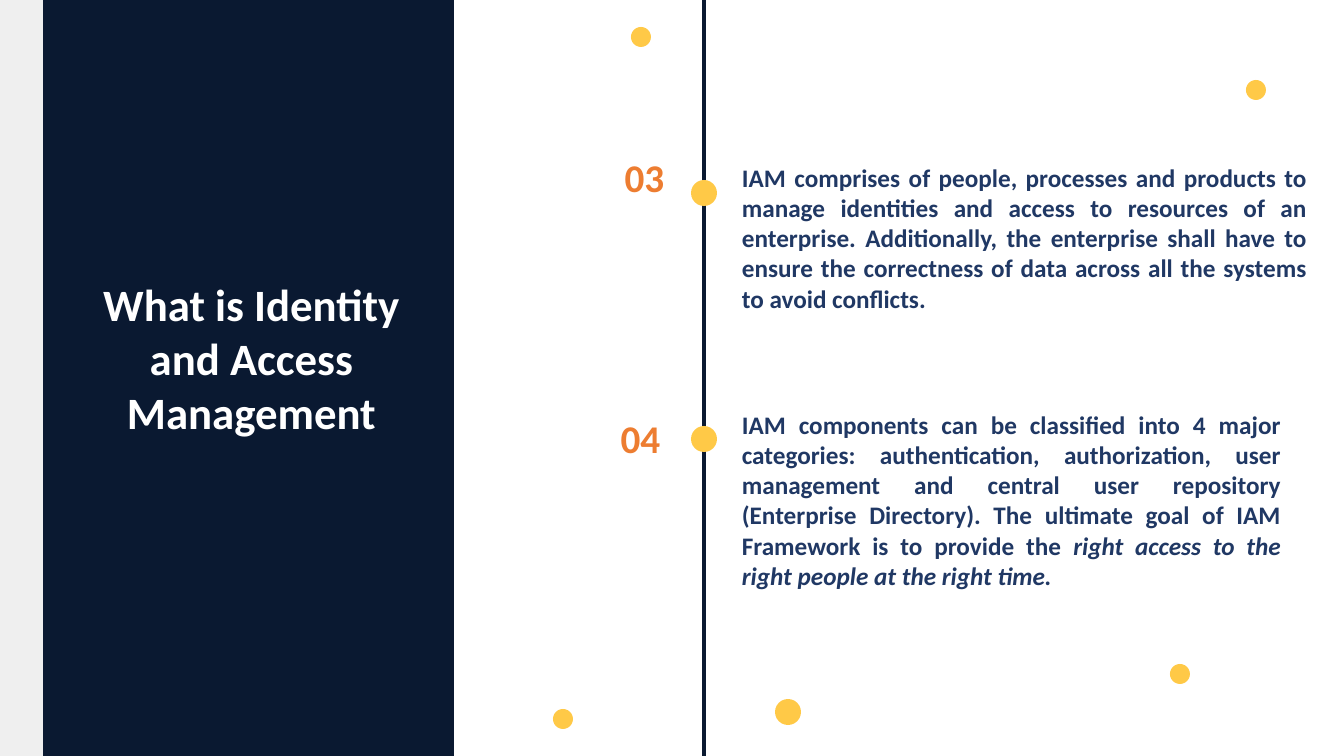
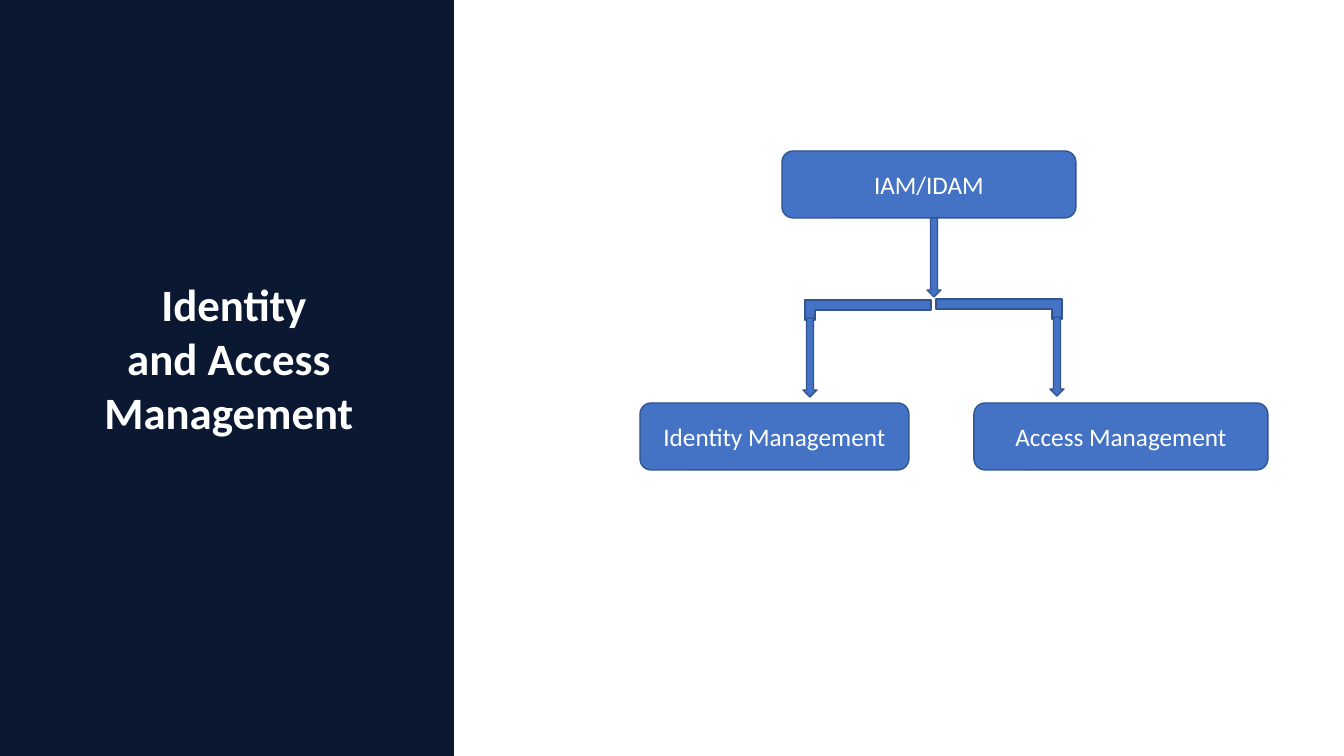
"""Build two slides on identity and access management."""
from dataclasses import dataclass

from lxml import etree
from pptx import Presentation, util as u
from pptx.dml.color import RGBColor
from pptx.enum import shapes, text
from pptx.oxml.ns import qn

SLIDE_WIDTH, SLIDE_HEIGHT = 1344, 756
EMU_PER_PX = 12192000 / SLIDE_WIDTH
TITLE_ONLY = 5
SHAPE = shapes.MSO_SHAPE
ALIGN = text.PP_ALIGN


@dataclass(frozen=True)
class Theme:
    """Colours, font and type sizes shared by the slides."""
    navy: str = "0A1931"
    yellow: str = "FFC947"
    grey: str = "EFEFEF"
    orange: str = "ED7D31"
    ink: str = "203864"
    blue: str = "4472C4"
    outline: str = "325491"
    white: str = "FFFFFF"
    font: str = "Calibri"
    title_size: int = 32
    number_size: int = 28
    body_size: int = 18


THEME = Theme()
TITLE = {"size": u.Pt(THEME.title_size), "bold": True}
NUMBER = {"size": u.Pt(THEME.number_size), "bold": True}
BODY = {"size": u.Pt(THEME.body_size), "bold": True}
LABEL = {"size": u.Pt(THEME.body_size), "bold": False}


def px(length):
    """Turn whole pixels into EMU."""
    return u.Emu(round(length * EMU_PER_PX))


def box(*lengths):
    """Turn a left, top, width and height into EMU."""
    return [px(length) for length in lengths]


def set_font(font, color, formats):
    """Apply the shared font, a colour and a dict of format values."""
    for name, value in {"name": THEME.font, **formats}.items():
        setattr(font, name, value)
    font.color.rgb = RGBColor.from_string(color)


def add_shape(slide, kind, bounds, fill, outline=None):
    """Add a flat preset shape with an optional thin outline."""
    shape = slide.shapes.add_shape(kind, *box(*bounds))
    shape.shadow.inherit = False
    shape.fill.solid()
    shape.fill.fore_color.rgb = RGBColor.from_string(fill)
    if outline:
        shape.line.color.rgb = RGBColor.from_string(outline)
        shape.line.width = u.Pt(1)
    else:
        shape.line.fill.background()
    return shape


def add_dot(slide, center_x, center_y, diameter):
    """Add a yellow dot around a centre point."""
    left, top = center_x - diameter // 2, center_y - diameter // 2
    add_shape(slide, SHAPE.OVAL, (left, top, diameter, diameter), THEME.yellow)


def add_text(slide, bounds, runs, alignment, color, formats):
    """Add a wrapping text box of one paragraph from (wording, italic) runs."""
    frame = slide.shapes.add_textbox(*box(*bounds)).text_frame
    frame.word_wrap = True
    frame.auto_size = text.MSO_AUTO_SIZE.SHAPE_TO_FIT_TEXT
    paragraph = frame.paragraphs[0]
    paragraph.alignment = alignment
    for wording, italic in runs:
        run = paragraph.add_run()
        run.text = wording
        set_font(run.font, color, {**formats, "italic": italic})


def add_timeline(slide, x):
    """Add the vertical line that carries the numbered points."""
    line = slide.shapes.add_connector(
        shapes.MSO_CONNECTOR.STRAIGHT, *box(x, 0, x, SLIDE_HEIGHT))
    line.line.color.rgb = RGBColor.from_string(THEME.navy)
    line.line.width = u.Pt(3)
    etree.SubElement(line.element.spPr, qn("a:effectLst"))


def add_node(slide, bounds, label):
    """Add a rounded, labelled box of the diagram."""
    shape = add_shape(slide, SHAPE.ROUNDED_RECTANGLE, bounds,
                      THEME.blue, THEME.outline)
    frame = shape.text_frame
    frame.text = label
    frame.word_wrap = True
    frame.vertical_anchor = text.MSO_ANCHOR.MIDDLE
    frame.paragraphs[0].alignment = ALIGN.CENTER
    set_font(frame.paragraphs[0].font, THEME.white, LABEL)


def add_arrow(slide, left, top):
    """Add a narrow block arrow that points down."""
    add_shape(slide, SHAPE.DOWN_ARROW, (left, top, 14, 79),
              THEME.blue, THEME.outline)


def add_elbow(slide, left, top, flips):
    """Add a corner piece, flipped along the named axes."""
    elbow = add_shape(slide, SHAPE.CORNER, (left, top, 126, 20),
                      THEME.blue, THEME.outline)
    for flip in flips:
        elbow.element.spPr.xfrm.set(flip, "1")


def add_titled_slide(presentation, lines, title_width):
    """Add a slide with the navy band and its title in front."""
    slide = presentation.slides.add_slide(
        presentation.slide_layouts[TITLE_ONLY])
    add_shape(slide, SHAPE.RECTANGLE, (0, 0, 454, SLIDE_HEIGHT), THEME.navy)
    title = slide.shapes.title
    slide.shapes.element.append(title.element)
    title.left, title.top, title.width, title.height = box(
        92, 271, title_width, 173)
    frame = title.text_frame
    frame.text = "\n".join(lines)
    frame.word_wrap = False
    frame.auto_size = text.MSO_AUTO_SIZE.NONE
    frame.vertical_anchor = text.MSO_ANCHOR.MIDDLE
    for paragraph in frame.paragraphs:
        paragraph.alignment = ALIGN.CENTER
        set_font(paragraph.font, THEME.white, TITLE)
    return slide


def build_definition(presentation):
    """Build the slide with two numbered points on a timeline."""
    slide = add_titled_slide(
        presentation, ["What is Identity", "and Access", "Management"], 319)
    timeline_x = 704
    add_timeline(slide, timeline_x)
    add_shape(slide, SHAPE.RECTANGLE, (0, 0, 43, SLIDE_HEIGHT), THEME.grey)
    for x, y in [(788, 712), (timeline_x, 439), (timeline_x, 193)]:
        add_dot(slide, x, y, 26)
    for x, y in [(563, 719), (1180, 674), (1256, 90), (641, 37)]:
        add_dot(slide, x, y, 20)
    points = [
        ("03", (609, 148, 71, 57), (732, 157, 585, 163), [
            ("IAM comprises of people, processes and products to manage "
             "identities and access to resources of an enterprise. "
             "Additionally, the enterprise shall have to ensure the "
             "correctness of data across all the systems to avoid "
             "conflicts.", False)]),
        ("04", (605, 409, 71, 57), (732, 404, 559, 194), [
            ("IAM components can be classified into 4 major categories: "
             "authentication, authorization, user management and central "
             "user repository (Enterprise Directory). The ultimate goal of "
             "IAM Framework is to provide the ", False),
            ("right access to the right people at the right time.", True)]),
    ]
    for number, number_bounds, body_bounds, runs in points:
        add_text(slide, number_bounds, [(number, False)], ALIGN.CENTER,
                 THEME.orange, NUMBER)
        add_text(slide, body_bounds, runs, ALIGN.JUSTIFY, THEME.ink, BODY)


def build_diagram(presentation):
    """Build the slide that splits IAM into its two branches."""
    slide = add_titled_slide(
        presentation, [" Identity", "and Access", "Management"], 274)
    for left, top, width, label in [
            (782, 151, 294, "IAM/IDAM"),
            (640, 403, 269, "Identity Management"),
            (974, 403, 294, "Access Management")]:
        add_node(slide, (left, top, width, 67), label)
    for left, top, flips in [(805, 300, ["flipV"]),
                             (936, 299, ["flipH", "flipV"])]:
        add_elbow(slide, left, top, flips)
    for left, top in [(927, 218), (803, 318), (1050, 317)]:
        add_arrow(slide, left, top)


def main():
    """Build and save the presentation."""
    presentation = Presentation()
    presentation.slide_width = px(SLIDE_WIDTH)
    presentation.slide_height = px(SLIDE_HEIGHT)
    build_definition(presentation)
    build_diagram(presentation)
    presentation.save("out.pptx")


if __name__ == "__main__":
    main()
